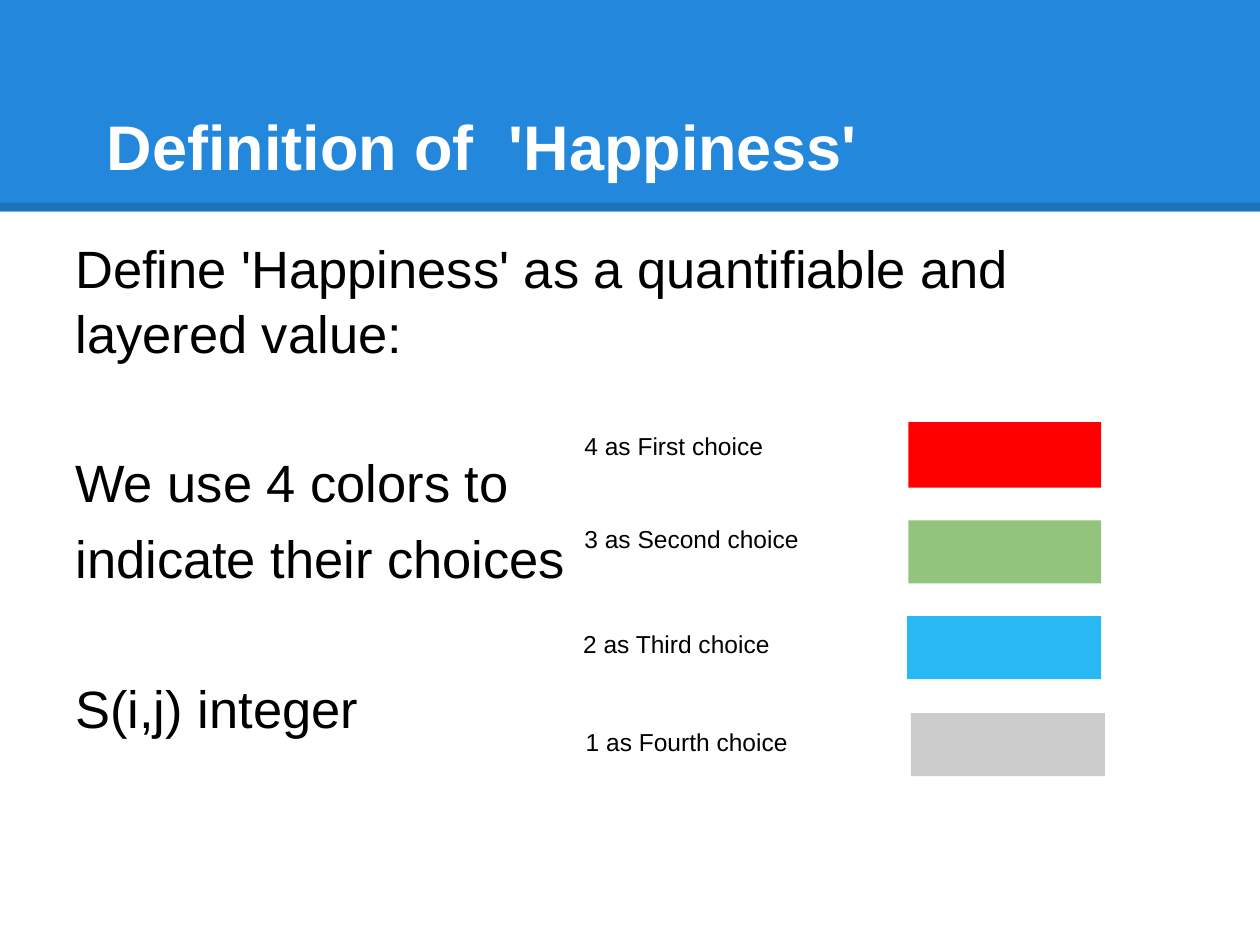
from typing import NamedTuple

from lxml.etree import SubElement
from pptx import Presentation
from pptx.dml.color import RGBColor
from pptx.enum.shapes import MSO_CONNECTOR, MSO_SHAPE
from pptx.enum.text import MSO_ANCHOR
from pptx.oxml.ns import qn
from pptx.shapes.autoshape import Shape
from pptx.slide import Slide
from pptx.text.text import TextFrame
from pptx.util import Inches, Pt

FONT = "Arial"
BLACK = "000000"
WHITE = "FFFFFF"
BANNER_BLUE = "2388DB"


class Box(NamedTuple):
    left: float
    top: float
    width: float
    height: float


class Choice(NamedTuple):
    label: str
    label_box: Box
    color: str
    swatch_box: Box
    opacity: int = 100


class Statement(NamedTuple):
    text: str
    space_before: int


CHOICES = [
    Choice("4 as First choice", Box(4.54, 3.32, 2.07, 0.6),
           "FF0000", Box(7.21, 3.35, 1.53, 0.52)),
    Choice("3 as Second choice", Box(4.54, 4.06, 2.37, 0.5),
           "93C47D", Box(7.21, 4.13, 1.53, 0.5)),
    Choice("2 as Third choice", Box(4.53, 4.89, 2.14, 0.52),
           "20B7F4", Box(7.2, 4.89, 1.54, 0.5), opacity=96),
    Choice("1 as Fourth choice", Box(4.55, 5.67, 2.35, 0.47),
           "CCCCCC", Box(7.23, 5.66, 1.54, 0.5)),
]

LINE_GAP = 6
SECTION_GAP = 48
STATEMENTS = [
    Statement("Define 'Happiness' as a quantifiable and layered value:", LINE_GAP),
    Statement("We use 4 colors to", SECTION_GAP),
    Statement("indicate their choices", LINE_GAP),
    Statement("S(i,j) integer", SECTION_GAP),
]


def rgb(hex_color: str) -> RGBColor:
    return RGBColor.from_string(hex_color)


def inches(box: Box) -> list[Inches]:
    return [Inches(length) for length in box]


def set_opacity(element, percent: int) -> None:
    """Make the solid colour inside a fill or line see-through."""
    color = next(element.iter(qn("a:srgbClr")))
    SubElement(color, qn("a:alpha")).set("val", str(percent * 1000))


def add_rectangle(slide: Slide, box: Box, color: str) -> Shape:
    rectangle = slide.shapes.add_shape(MSO_SHAPE.RECTANGLE, *inches(box))
    rectangle.shadow.inherit = False
    rectangle.fill.solid()
    rectangle.fill.fore_color.rgb = rgb(color)
    rectangle.line.fill.background()
    return rectangle


def add_text_frame(slide: Slide, box: Box) -> TextFrame:
    frame = slide.shapes.add_textbox(*inches(box)).text_frame
    frame.word_wrap = True
    frame.margin_left = frame.margin_right = Inches(0.1)
    frame.margin_top = frame.margin_bottom = Inches(0.1)
    return frame


def add_run(paragraph, text: str, size: int, color: str = BLACK, bold: bool = False) -> None:
    run = paragraph.add_run()
    run.text = text
    run.font.name = FONT
    run.font.size = Pt(size)
    run.font.bold = bold
    run.font.color.rgb = rgb(color)


def add_banner(slide: Slide) -> None:
    add_rectangle(slide, Box(0, 0, 10, 1.68), BANNER_BLUE)
    edge = slide.shapes.add_connector(
        MSO_CONNECTOR.STRAIGHT, Inches(0), Inches(1.64), Inches(10), Inches(1.64))
    edge.line.width = Pt(4.5)
    edge.line.color.rgb = rgb(BLACK)
    properties = edge.line._get_or_add_ln().getparent()
    set_opacity(properties, 15)
    SubElement(properties, qn("a:effectLst"))

    title = add_text_frame(slide, Box(0.5, 0.3, 9, 1.25))
    title.vertical_anchor = MSO_ANCHOR.BOTTOM
    heading = title.paragraphs[0]
    heading._p.get_or_add_pPr().set("indent", str(Inches(0.25)))
    add_run(heading, "Definition of  'Happiness'", 36, WHITE, bold=True)


def add_statements(slide: Slide) -> None:
    body = add_text_frame(slide, Box(0.5, 1.75, 9, 5.43))
    for index, statement in enumerate(STATEMENTS):
        paragraph = body.add_paragraph() if index else body.paragraphs[0]
        paragraph.space_before = Pt(statement.space_before)
        paragraph.line_spacing = 1.04
        add_run(paragraph, statement.text, 30)


def add_choice(slide: Slide, choice: Choice) -> None:
    swatch = add_rectangle(slide, choice.swatch_box, choice.color)
    if choice.opacity < 100:
        set_opacity(swatch._element.spPr, choice.opacity)
    label = add_text_frame(slide, choice.label_box)
    add_run(label.paragraphs[0], choice.label, 14)


def main() -> None:
    presentation = Presentation()
    presentation.slide_width = Inches(10)
    presentation.slide_height = Inches(7.5)
    slide = presentation.slides.add_slide(presentation.slide_layouts[6])
    add_banner(slide)
    add_statements(slide)
    for choice in CHOICES:
        add_choice(slide, choice)
    presentation.save("out.pptx")


if __name__ == "__main__":
    main()
